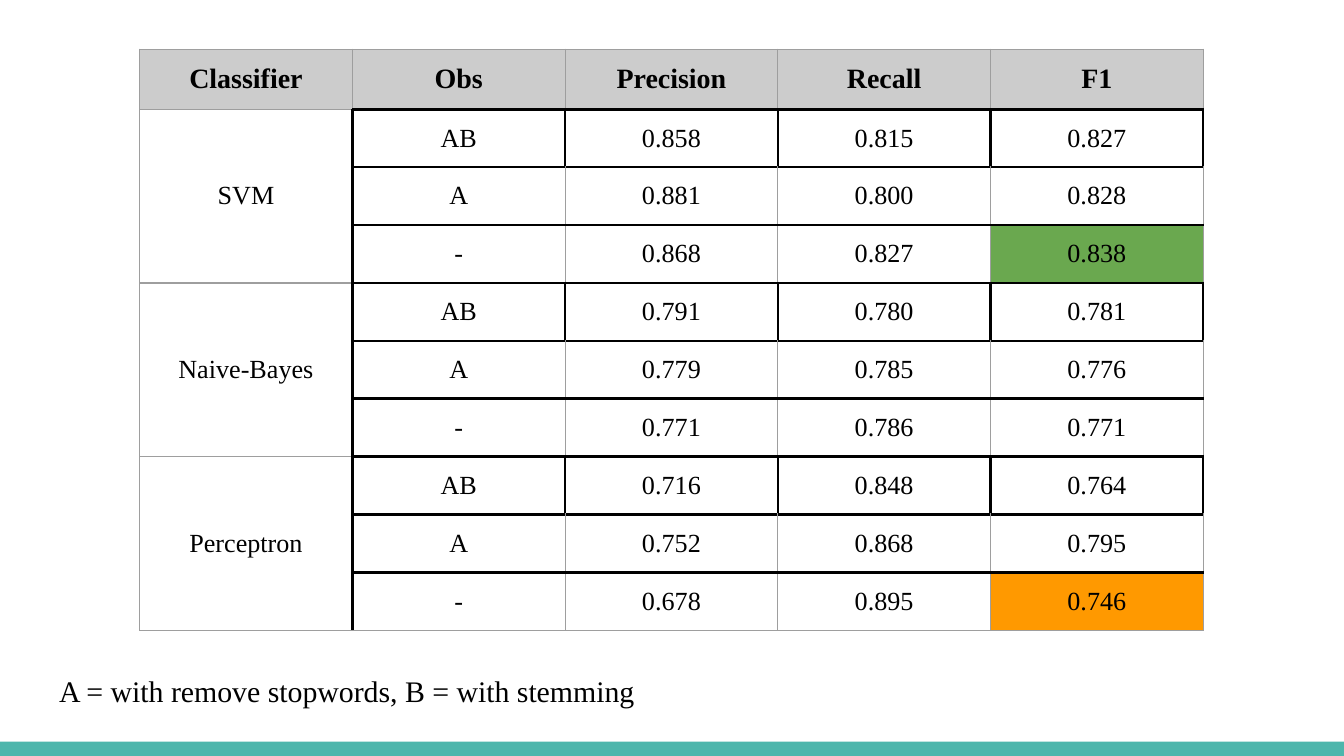
from lxml.etree import SubElement
from pptx import Presentation
from pptx.dml.color import RGBColor as RGB
from pptx.enum.shapes import MSO_SHAPE as Shape
from pptx.enum.text import MSO_ANCHOR as Anchor, PP_ALIGN as Align
from pptx.oxml.ns import qn
from pptx.util import Cm, Pt

FONT = "Times New Roman"
COLORS = {"text": "000000", "header": "CCCCCC", "cell": "FFFFFF", "grid": "9E9E9E",
          "rule": "000000", "best": "6AA84F", "worst": "FF9900", "bar": "4DB6AC"}
THIN, THICK = ("grid", 0.75), ("rule", 1.5)

HEADINGS = ["Classifier", "Obs", "Precision", "Recall", "F1"]
RESULTS = {
    "SVM": [("AB", "0.858", "0.815", "0.827"),
            ("A", "0.881", "0.800", "0.828"),
            ("-", "0.868", "0.827", "0.838")],
    "Naive-Bayes": [("AB", "0.791", "0.780", "0.781"),
                    ("A", "0.779", "0.785", "0.776"),
                    ("-", "0.771", "0.786", "0.771")],
    "Perceptron": [("AB", "0.716", "0.848", "0.764"),
                   ("A", "0.752", "0.868", "0.795"),
                   ("-", "0.678", "0.895", "0.746")],
}
HIGHLIGHTS = {(3, 4): "best", (9, 4): "worst"}


def color(name):
    return RGB.from_string(COLORS[name])


def style_text(paragraph, size, bold=False):
    font = paragraph.font
    font.name, font.size, font.bold = FONT, Pt(size), bold
    font.color.rgb = color("text")


def set_borders(cell, **sides):
    properties = cell._tc.get_or_add_tcPr()
    for side in "LRTB":
        name, width = sides[side]
        line = SubElement(properties, qn(f"a:ln{side}"), w=str(Pt(width)))
        fill = SubElement(line, qn("a:solidFill"))
        SubElement(fill, qn("a:srgbClr"), val=COLORS[name])


def format_cell(cell, text, borders, fill="cell", size=14, bold=False):
    cell.text = text
    cell.vertical_anchor = Anchor.MIDDLE
    cell.margin_left = cell.margin_right = Cm(0.25)
    cell.margin_top = cell.margin_bottom = Cm(0.25)
    paragraph = cell.text_frame.paragraphs[0]
    paragraph.alignment = Align.CENTER
    style_text(paragraph, size, bold)
    # Borders come before the fill in the cell properties
    set_borders(cell, **borders)
    cell.fill.solid()
    cell.fill.fore_color.rgb = color(fill)


def add_results_table(slide, left, top, width, height):
    row_count = 1 + sum(len(rows) for rows in RESULTS.values())
    table = slide.shapes.add_table(row_count, len(HEADINGS), left, top, width, height).table
    table.horz_banding = table.first_row = False
    for column in table.columns:
        column.width = width // len(HEADINGS)

    # Header row
    for index, heading in enumerate(HEADINGS):
        borders = dict(L=THIN, R=THIN, T=THIN, B=THICK if index else THIN)
        format_cell(table.cell(0, index), heading, borders, "header", 15, True)

    # One group of rows for each classifier
    row = 1
    for classifier, group in RESULTS.items():
        last = row + len(group) - 1
        for observation in group:
            both = observation[0] == "AB"
            name = classifier if both else ""
            format_cell(table.cell(row, 0), name, dict(L=THIN, R=THICK, T=THIN, B=THIN))
            for index, value in enumerate(observation, 1):
                borders = dict(L=THICK if both or index == 1 else THIN,
                               R=THICK if both else THIN, T=THICK,
                               B=THIN if row == row_count - 1 else THICK)
                format_cell(table.cell(row, index), value, borders,
                            HIGHLIGHTS.get((row, index), "cell"))
            row += 1
        table.cell(last - len(group) + 1, 0).merge(table.cell(last, 0))


def add_legend(slide, left, top, width, height):
    frame = slide.shapes.add_textbox(left, top, width, height).text_frame
    frame.word_wrap = True
    frame.vertical_anchor = Anchor.MIDDLE
    frame.margin_left = frame.margin_right = Cm(0.25)
    paragraph = frame.paragraphs[0]
    paragraph.text = "A = with remove stopwords, B = with stemming"
    style_text(paragraph, 16)


def add_bottom_bar(slide, left, top, width, height):
    bar = slide.shapes.add_shape(Shape.RECTANGLE, left, top, width, height)
    bar.shadow.inherit = False
    bar.fill.solid()
    bar.fill.fore_color.rgb = color("bar")
    bar.line.fill.background()


presentation = Presentation()
presentation.slide_width, presentation.slide_height = Cm(25.4), Cm(14.29)
slide = presentation.slides.add_slide(presentation.slide_layouts[6])
add_bottom_bar(slide, Cm(0), Cm(14.02), Cm(25.4), Cm(0.27))
add_legend(slide, Cm(0.87), Cm(12.4), Cm(23.67), Cm(1.3))
add_results_table(slide, Cm(2.64), Cm(0.93), Cm(20.1), Cm(10.6))
presentation.save("out.pptx")
